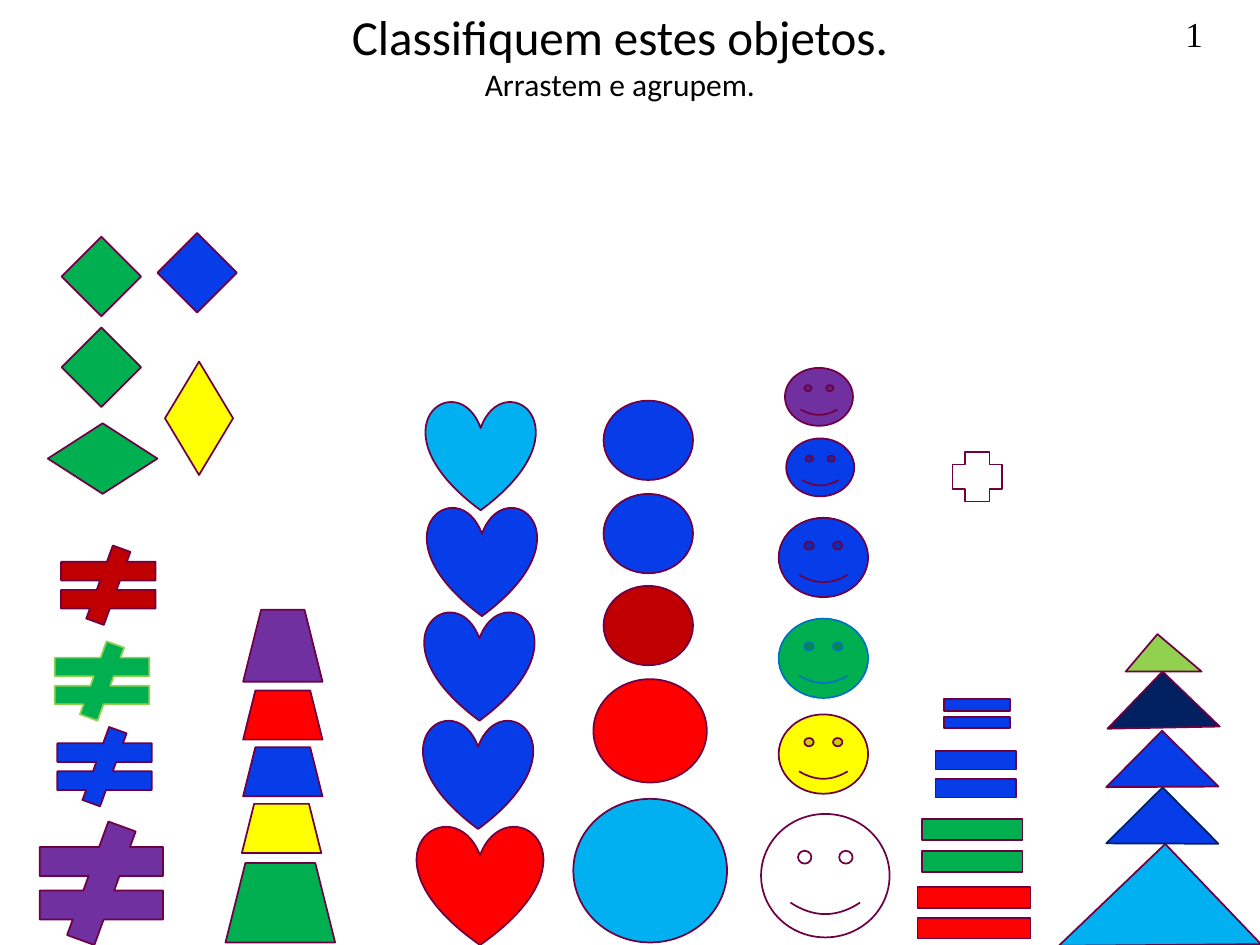
from pptx import Presentation
from pptx.dml.color import RGBColor
from pptx.enum.shapes import MSO_SHAPE
from pptx.enum.text import MSO_ANCHOR, MSO_AUTO_SIZE, PP_ALIGN
from pptx.util import Inches, Pt

CENTER, LEFT = PP_ALIGN.CENTER, PP_ALIGN.LEFT
TOP = MSO_ANCHOR.TOP
NO_FIT = MSO_AUTO_SIZE.NONE
TITLE_ONLY = 5

COLORS = {
    "black": "000000", "plum": "6E0043", "blue": "063DE8", "navy": "002060",
    "sky": "00B0F0", "ocean": "0070C0", "green": "00B050", "lime": "92D050",
    "red": "FF0000", "crimson": "C00000", "purple": "7030A0", "yellow": "FFFF00",
}


def color(name):
    return RGBColor.from_string(COLORS[name])


def write(para, text, size=18, font="Calibri", ink="black", align=LEFT):
    para.alignment = align
    para.space_before = para.space_after = Pt(0)
    para.line_spacing = 1.0
    span = para.add_run()
    span.text = text
    span.font.size = Pt(size)
    span.font.name = font
    span.font.color.rgb = color(ink)


class Board:
    """Style and current slide of the sorting activity."""
    outline = "plum"
    outline_width = Pt(1)

    def __init__(self, deck):
        self.page = deck.slides.add_slide(deck.slide_layouts[TITLE_ONLY])

    def heading(self, title, subtitle, left, top, width, height):
        box = self.page.shapes.title
        box.left, box.top = Inches(left), Inches(top)
        box.width, box.height = Inches(width), Inches(height)
        frame = box.text_frame
        frame.vertical_anchor = TOP
        frame.auto_size = NO_FIT
        write(frame.paragraphs[0], title, size=28, align=CENTER)
        write(frame.add_paragraph(), subtitle, size=18, align=CENTER)

    def label(self, text, left, top, width, height, **style):
        box = self.page.shapes.add_textbox(
            Inches(left), Inches(top), Inches(width), Inches(height))
        box.text_frame.word_wrap = False
        write(box.text_frame.paragraphs[0], text, **style)

    def piece(self, kind, left, top, width, height, fill=None, line=None, turn=0):
        shape = self.page.shapes.add_shape(
            kind, Inches(left), Inches(top), Inches(width), Inches(height))
        shape.shadow.inherit = False
        shape.rotation = turn
        if fill:
            shape.fill.solid()
            shape.fill.fore_color.rgb = color(fill)
        else:
            shape.fill.background()
        shape.line.color.rgb = color(line or self.outline)
        shape.line.width = self.outline_width

    def family(self, kind, members):
        for member in members:
            self.piece(kind, *member)


# Each member: left, top, width, height, fill, outline, rotation
FAMILIES = {
    MSO_SHAPE.DIAMOND: [
        (0.49, 1.88, 0.63, 0.63, "green"),
        (1.25, 1.85, 0.63, 0.63, "blue"),
        (0.49, 2.6, 0.63, 0.63, "green"),
        (1.31, 2.87, 0.54, 0.9, "yellow"),
        (0.38, 3.36, 0.87, 0.56, "green"),
    ],
    MSO_SHAPE.MATH_NOT_EQUAL: [
        (0.35, 4.33, 1.02, 0.63, "crimson"),
        (0.3, 5.09, 1.02, 0.63, "green", "lime"),
        (0.32, 5.77, 1.02, 0.63, "blue"),
        (0.14, 6.52, 1.33, 0.98, "purple"),
    ],
    MSO_SHAPE.TRAPEZOID: [
        (1.93, 4.84, 0.63, 0.57, "purple"),
        (1.93, 5.48, 0.63, 0.39, "red"),
        (1.93, 5.93, 0.63, 0.39, "blue"),
        (1.92, 6.38, 0.63, 0.39, "yellow"),
        (1.79, 6.85, 0.87, 0.63, "green"),
    ],
    MSO_SHAPE.HEART: [
        (3.38, 3.18, 0.87, 0.87, "sky"),
        (3.39, 4.02, 0.87, 0.87, "blue"),
        (3.37, 4.85, 0.87, 0.87, "blue"),
        (3.36, 5.71, 0.87, 0.87, "blue"),
        (3.31, 6.55, 1, 0.95, "red"),
    ],
    MSO_SHAPE.OVAL: [
        (4.79, 3.18, 0.71, 0.63, "blue"),
        (4.79, 3.92, 0.71, 0.63, "blue"),
        (4.79, 4.65, 0.71, 0.63, "crimson"),
        (4.71, 5.39, 0.9, 0.82, "red"),
        (4.55, 6.34, 1.22, 1.14, "sky"),
    ],
    MSO_SHAPE.SMILEY_FACE: [
        (6.23, 2.92, 0.54, 0.46, "purple"),
        (6.24, 3.48, 0.54, 0.46, "blue"),
        (6.18, 4.11, 0.71, 0.63, "blue"),
        (6.18, 4.91, 0.71, 0.63, "green", "ocean"),
        (6.18, 5.67, 0.71, 0.63, "yellow"),
        (6.04, 6.46, 1.02, 0.98),
    ],
    MSO_SHAPE.CROSS: [(7.56, 3.59, 0.39, 0.39)],
    MSO_SHAPE.MATH_EQUAL: [
        (7.4, 5.47, 0.71, 0.39, "blue"),
        (7.31, 5.83, 0.87, 0.63, "blue", None, 180),
        (7.17, 6.35, 1.09, 0.72, "green"),
        (7.12, 6.9, 1.22, 0.69, "red"),
    ],
    MSO_SHAPE.RIGHT_TRIANGLE: [
        (8.91, 5.93, 0.63, 0.63, "blue", None, 134.7),
        (8.92, 5.46, 0.63, 0.63, "navy", None, 133.9),
        (9.04, 5.1, 0.39, 0.46, "lime", None, 130.3),
        (8.62, 6.95, 1.17, 1.1, "sky", None, 136.3),
        (8.91, 6.38, 0.63, 0.63, "blue", "navy", 135.2),
    ],
}


def main():
    deck = Presentation()
    deck.slide_width, deck.slide_height = Inches(10), Inches(7.5)
    board = Board(deck)

    # Heading and page number
    board.heading("Classifiquem estes objetos.", "Arrastem e agrupem.",
                  0.67, 0, 8.5, 0.91)
    board.label("1", 9.31, 0.05, 0.61, 0.43, size=20, font="Times New Roman")

    # Objects to sort, one family per kind of shape
    for kind, members in FAMILIES.items():
        board.family(kind, members)

    deck.save("out.pptx")


if __name__ == "__main__":
    main()
